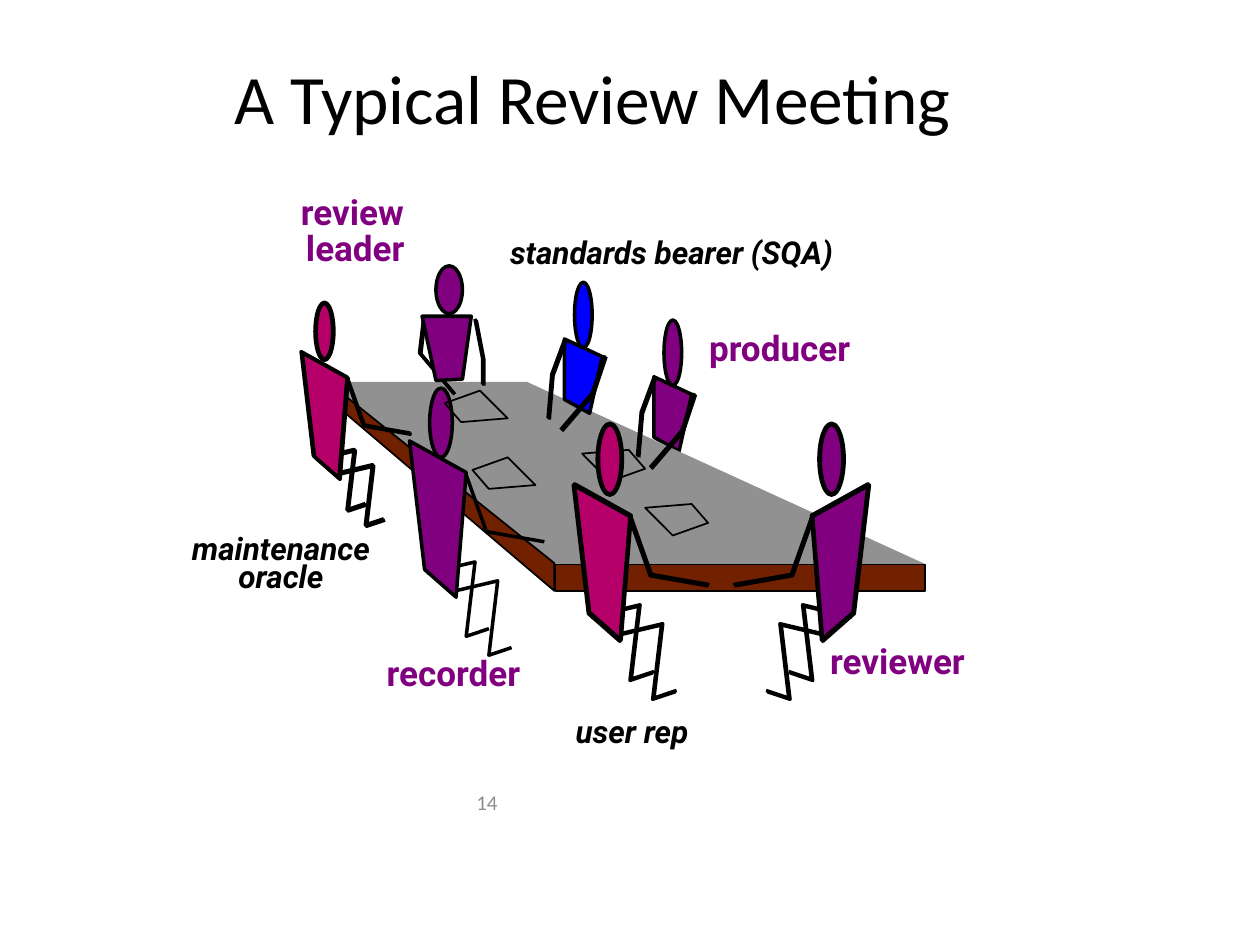
import pptx
import pptx.dml.color
import pptx.enum.shapes
import pptx.enum.text
import pptx.util

COLORS = {
    "ink": "000000",
    "grey": "8C8C8C",
    "tabletop": "919191",
    "wood": "712000",
    "purple": "800080",
    "blue": "0000FF",
    "crimson": "B50069",
}
Inches = pptx.util.Inches
Shapes = pptx.enum.shapes.MSO_SHAPE
Align = pptx.enum.text.PP_ALIGN
Anchor = pptx.enum.text.MSO_ANCHOR
AutoSize = pptx.enum.text.MSO_AUTO_SIZE


def shift(points, dx, dy):
    return [(x + dx, y + dy) for x, y in points]


class MeetingSlide:
    torso = [(0.12, 1.02), (0, 0), (0.45, 0.25), (0.37, 1.24)]
    leg = [(0.14, 1.05), (0.52, 0.96), (0.45, 1.55), (0.63, 1.49)]
    arm = [(0.45, 0.27), (0.61, 0.72), (1.07, 0.8)]
    far_torso = [(0, 0.48), (0, 0), (0.3, 0.14), (0.2, 0.59)]
    far_arms = [
        [(0.33, 0.14), (0.23, 0.44), (-0.02, 0.73)],
        [(0.01, 0.02), (-0.09, 0.29), (-0.12, 0.64)],
    ]
    paper_outline = [(0.13, 0.25), (0.5, 0.22), (0.28, 0), (0, 0.1)]

    def __init__(self, slide):
        self.slide = slide

    def color(self, name):
        return pptx.dml.color.RGBColor.from_string(COLORS[name])

    def paint(self, shape, fill, line):
        shape.shadow.inherit = False
        if fill:
            shape.fill.solid()
            shape.fill.fore_color.rgb = self.color(fill)
        else:
            shape.fill.background()
        if line:
            shape.line.color.rgb = self.color("ink")
            shape.line.width = pptx.util.Pt(line)
        else:
            shape.line.fill.background()

    def outline(self, points, fill=None, line=2, close=True):
        corners = [(Inches(x), Inches(y)) for x, y in points]
        builder = self.slide.shapes.build_freeform(*corners[0], scale=1.0)
        builder.add_line_segments(corners[1:], close=close)
        self.paint(builder.convert_to_shape(), fill, line)

    def shape(self, kind, box, fill=None, line=2):
        solid = self.slide.shapes.add_shape(kind, *map(Inches, box))
        self.paint(solid, fill, line)

    def head(self, box, fill=None):
        self.shape(Shapes.OVAL, box, fill)

    def limb(self, points, echo=0):
        self.outline(points, close=False)
        if echo:
            self.outline(shift(points, echo, -0.01), close=False)

    def text(self, box, lines, size, color="purple", font="Roboto", bold=True,
             italic=False, align=Align.LEFT, spacing=None, wrap=False, fixed=False):
        frame = self.slide.shapes.add_textbox(*map(Inches, box)).text_frame
        frame.word_wrap = wrap
        frame.auto_size = AutoSize.NONE if fixed else AutoSize.SHAPE_TO_FIT_TEXT
        frame.vertical_anchor = Anchor.MIDDLE if fixed else Anchor.TOP
        frame.text = "\n".join(lines)
        for paragraph in frame.paragraphs:
            paragraph.alignment = align
            if spacing:
                paragraph.line_spacing = spacing
            paragraph.font.name = font
            paragraph.font.size = pptx.util.Pt(size)
            paragraph.font.bold = bold
            paragraph.font.italic = italic
            paragraph.font.color.rgb = self.color(color)

    def paper(self, left, top, flipped=False):
        points = self.paper_outline
        if flipped:
            points = [(0.5 - x, 0.25 - y) for x, y in points]
        self.outline(shift(points, left, top), line=1)

    def near_sitter(self, x, y, fill, head, scale=1, side=1, echo=0):
        def place(points):
            return [(x + side * scale * px, y + scale * py) for px, py in points]

        echo *= side
        for leg in (self.leg, shift(self.leg, 0.18, 0.15)):
            self.limb(place(leg), echo)
        body = place(self.torso)
        self.outline(body, fill)
        if echo:
            self.outline(shift(body, echo, -0.01))
        left, top, width, height = head
        self.head(head, fill)
        if echo:
            self.head((left - 0.01, top - 0.01, width + 0.02, height + 0.02))
        self.limb(place(self.arm), echo)

    def far_torso_at(self, x, y, fill):
        self.outline(shift(self.far_torso, x, y), fill)

    def far_head_and_arms(self, x, y, fill):
        self.head((x + 0.08, y - 0.45, 0.14, 0.52), fill)
        for arm in self.far_arms:
            self.limb(shift(arm, x, y), -0.01)

    def leader(self):
        self.limb([(3.37, 2.56), (3.34, 2.81), (3.61, 3.13)], -0.01)
        self.limb([(3.78, 2.54), (3.84, 2.85), (3.84, 3.06)], -0.01)
        self.head((3.46, 2.11, 0.21, 0.38), "purple")

    def table(self):
        self.outline([(2.6, 3.03), (4.18, 3.03), (7.35, 4.48), (4.4, 4.48)],
                     "tabletop", line=None)
        self.shape(Shapes.RECTANGLE, (4.41, 4.48, 2.93, 0.21), "wood", line=1)
        self.outline([(4.4, 4.47), (2.6, 3.03), (2.6, 3.16), (4.4, 4.69)],
                     "wood", line=1)


def main():
    deck = pptx.Presentation()
    deck.slide_width, deck.slide_height = Inches(10), Inches(7.5)
    meeting = MeetingSlide(deck.slides.add_slide(deck.slide_layouts[6]))

    heading = dict(font="Calibri", bold=False, align=Align.CENTER, wrap=True, fixed=True)
    meeting.text((2.28, 6.17, 3.17, 0.4), ["14"], 12, "grey", **heading)
    meeting.text((1.51, 0.42, 6.39, 0.69), ["A Typical Review Meeting"], 39.6,
                 "ink", **heading)

    producer, standards_bearer = (5.19, 2.99), (4.48, 2.69)
    meeting.far_torso_at(*producer, "purple")
    meeting.table()
    meeting.near_sitter(3.25, 3.5, "purple", (3.41, 3.08, 0.18, 0.55))
    meeting.near_sitter(6.9, 3.85, "purple", (6.51, 3.37, 0.18, 0.55),
                        side=-1, echo=0.01)
    meeting.leader()
    meeting.far_head_and_arms(*producer, "purple")

    meeting.text((2.29, 1.46, 1.24, 0.76), ["review"], 20, wrap=True)
    for label, left, top, width in [
        ("leader", 2.33, 1.75, 1.02),
        ("producer", 5.53, 2.54, 1.4),
        ("recorder", 2.97, 5.12, 1.32),
        ("reviewer", 6.49, 5.03, 1.32),
    ]:
        meeting.text((left, top, width, 0.43), [label], 20)

    for left, top, flipped in [
        (3.75, 3.63, False),
        (5.12, 4, True),
        (4.62, 3.57, True),
        (3.53, 3.1, False),
    ]:
        meeting.paper(left, top, flipped)

    meeting.outline([(3.35, 2.51), (3.74, 2.51), (3.67, 3.01), (3.46, 3.02)], "purple")
    meeting.far_torso_at(*standards_bearer, "blue")
    meeting.far_head_and_arms(*standards_bearer, "blue")
    meeting.near_sitter(2.4, 2.8, "crimson", (2.51, 2.41, 0.13, 0.44),
                        scale=0.81, echo=-0.01)

    guest = dict(size=18, color="ink", italic=True)
    meeting.text((3.95, 1.8, 3, 0.4), ["standards bearer (SQA)"], **guest)
    meeting.text((1.33, 4.22, 1.8, 0.55), ["maintenance", "oracle"],
                 align=Align.CENTER, spacing=0.75, **guest)
    meeting.near_sitter(4.55, 3.85, "crimson", (4.75, 3.37, 0.18, 0.55), echo=0.01)
    meeting.text((4.47, 5.6, 1.18, 0.4), ["user rep"], **guest)

    deck.save("out.pptx")


if __name__ == "__main__":
    main()
